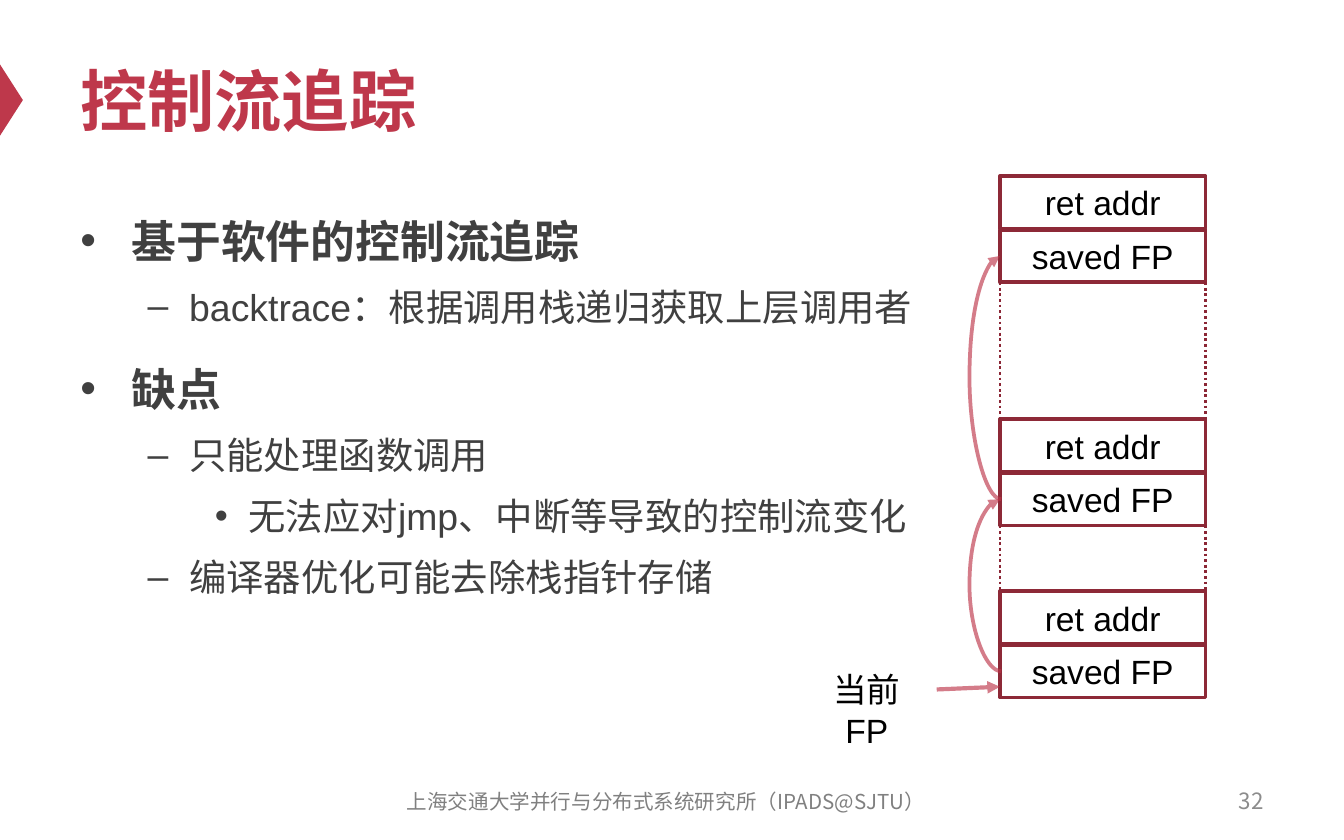
"""Build the slide on control-flow tracing through saved frame pointers."""
from lxml import etree
from pptx import Presentation
from pptx.dml.color import RGBColor
from pptx.enum import dml, shapes, text
from pptx.oxml.ns import qn
from pptx.util import Inches, Pt

CJK_FONT = "Noto Sans CJK SC"
STACK_LEFT, STACK_WIDTH = 7.44, 1.53
STACK_RIGHT = STACK_LEFT + STACK_WIDTH
CELL_HEIGHT, CELL_STEP = 0.39, 0.4
FRAME_TOPS = (1.31, 3.12, 4.4)
LEVELS = (
    {"bullet": "•", "margin": 0.38, "hang": 0.38, "before": 12, "size": 24, "bold": True},
    {"bullet": "–", "margin": 0.81, "hang": 0.31, "before": 4, "size": 20, "bold": False},
    {"bullet": "•", "margin": 1.25, "hang": 0.25, "before": 4, "size": 20, "bold": False},
)
OUTLINE = (
    (0, "基于软件的控制流追踪"),
    (1, "backtrace：根据调用栈递归获取上层调用者"),
    (0, "缺点"),
    (1, "只能处理函数调用"),
    (2, "无法应对jmp、中断等导致的控制流变化"),
    (1, "编译器优化可能去除栈指针存储"),
)


def paint(color_format, hex_color):
    """Set a colour from a hex string."""
    color_format.rgb = RGBColor.from_string(hex_color)


def style(paragraph, size, color, font="Arial", bold=False, align=text.PP_ALIGN.LEFT):
    """Format a paragraph and its runs."""
    paragraph.alignment = align
    for run in paragraph.runs:
        run.font.name, run.font.size, run.font.bold = font, Pt(size), bold
        paint(run.font.color, color)


def add_text(slide, box, wording, size, color, anchor=text.MSO_ANCHOR.MIDDLE, **look):
    """Add a wrapped one-paragraph text box."""
    frame = slide.shapes.add_textbox(*map(Inches, box)).text_frame
    frame.word_wrap = True
    frame.vertical_anchor = anchor
    frame.text = wording
    style(frame.paragraphs[0], size, color, **look)


def add_outline(slide, box, items):
    """Add the bulleted outline with its three levels."""
    frame = slide.shapes.add_textbox(*map(Inches, box)).text_frame
    frame.word_wrap = True
    for index, (depth, wording) in enumerate(items):
        level = LEVELS[depth]
        paragraph = frame.add_paragraph() if index else frame.paragraphs[0]
        paragraph.text = wording
        paragraph.level = depth
        paragraph.line_spacing = 1.2
        paragraph.space_before = Pt(level["before"] if index else 0)
        properties = paragraph._p.get_or_add_pPr()
        properties.set("marL", str(Inches(level["margin"])))
        properties.set("indent", str(-Inches(level["hang"])))
        etree.SubElement(properties, qn("a:buFont")).set("typeface", "Arial")
        etree.SubElement(properties, qn("a:buChar")).set("char", level["bullet"])
        style(paragraph, level["size"], "404040", bold=level["bold"])


def add_title_marker(slide):
    """Add the red triangle that points at the title."""
    marker = slide.shapes.add_shape(
        shapes.MSO_SHAPE.ISOSCELES_TRIANGLE, *map(Inches, (-0.18, 0.66, 0.53, 0.17)))
    marker.rotation = 90
    marker.shadow.inherit = False
    marker.fill.solid()
    paint(marker.fill.fore_color, "BE384B")
    marker.line.fill.background()


def add_cell(slide, top, wording):
    """Add one labelled cell of the stack."""
    cell = slide.shapes.add_shape(
        shapes.MSO_SHAPE.RECTANGLE, *map(Inches, (STACK_LEFT, top, STACK_WIDTH, CELL_HEIGHT)))
    cell.shadow.inherit = False
    cell.fill.background()
    cell.line.width = Pt(2)
    paint(cell.line.color, "8D2937")
    frame = cell.text_frame
    frame.vertical_anchor = text.MSO_ANCHOR.MIDDLE
    frame.text = wording
    style(frame.paragraphs[0], 18, "000000", align=text.PP_ALIGN.CENTER)


def add_line(slide, start, end, color, width, kind=shapes.MSO_CONNECTOR.STRAIGHT):
    """Add a connector without a shadow."""
    line = slide.shapes.add_connector(kind, *map(Inches, (*start, *end)))
    line.line.width = Pt(width)
    paint(line.line.color, color)
    etree.SubElement(line._element.spPr, qn("a:effectLst"))
    return line


def add_arrow(slide, start, end, width, **kind):
    """Add a translucent red arrow."""
    arrow = add_line(slide, start, end, "BD3347", width, **kind)
    outline = arrow.line._get_or_add_ln()
    color = outline.find(".//" + qn("a:srgbClr"))
    etree.SubElement(color, qn("a:alpha")).set("val", "64000")
    etree.SubElement(outline, qn("a:tailEnd")).set("type", "triangle")
    return arrow


def add_frame_link(slide, from_y, to_y):
    """Add a curved arrow from one saved frame pointer to the one above."""
    reach, offset = 0.24, 0.01
    link = add_arrow(slide, (STACK_LEFT + offset, from_y), (STACK_LEFT, to_y), 2,
                     kind=shapes.MSO_CONNECTOR.CURVE)
    guides = link._element.spPr.find(qn("a:prstGeom")).get_or_add_avLst()
    bend = etree.SubElement(guides, qn("a:gd"))
    bend.set("name", "adj1")
    bend.set("fmla", f"val {round(reach / offset * 100000)}")


def add_stack(slide):
    """Add the stack frames, the gaps between them and the pointer chain."""
    for top in FRAME_TOPS:
        add_cell(slide, top + CELL_STEP, "saved FP")
        add_cell(slide, top, "ret addr")
    for upper, lower in zip(FRAME_TOPS, FRAME_TOPS[1:]):
        gap_top = upper + CELL_STEP + CELL_HEIGHT
        for edge in (STACK_LEFT, STACK_RIGHT):
            gap = add_line(slide, (edge, gap_top), (edge, lower), "8B2635", 1.5)
            gap.line.dash_style = dml.MSO_LINE.ROUND_DOT
        pointer_offset = CELL_STEP + CELL_HEIGHT / 2
        add_frame_link(slide, lower + pointer_offset, upper + pointer_offset)


def main():
    """Build and save the slide."""
    deck = Presentation()
    deck.slide_width, deck.slide_height = Inches(10), Inches(6.25)
    slide = deck.slides.add_slide(deck.slide_layouts[6])
    center, right = text.PP_ALIGN.CENTER, text.PP_ALIGN.RIGHT

    add_title_marker(slide)
    add_text(slide, (0.5, 0.25, 9, 0.98), "控制流追踪", 36, "BE384B", bold=True)
    add_outline(slide, (0.5, 1.46, 9, 4.12), OUTLINE)
    add_text(slide, (7.17, 5.79, 2.33, 0.33), "32", 12, "8C8C8C", font=CJK_FONT, align=right)
    add_text(slide, (2.79, 5.8, 4.33, 0.33), "上海交通大学并行与分布式系统研究所（IPADS@SJTU）",
             11, "808080", font=CJK_FONT, align=center)
    add_stack(slide)
    add_text(slide, (6, 4.93, 0.9, 0.4), "当前FP", 18, "000000",
             anchor=text.MSO_ANCHOR.TOP, align=center)
    add_arrow(slide, (6.97, 5.13), (STACK_LEFT, 5.11), 2.25)
    deck.save("out.pptx")


if __name__ == "__main__":
    main()
